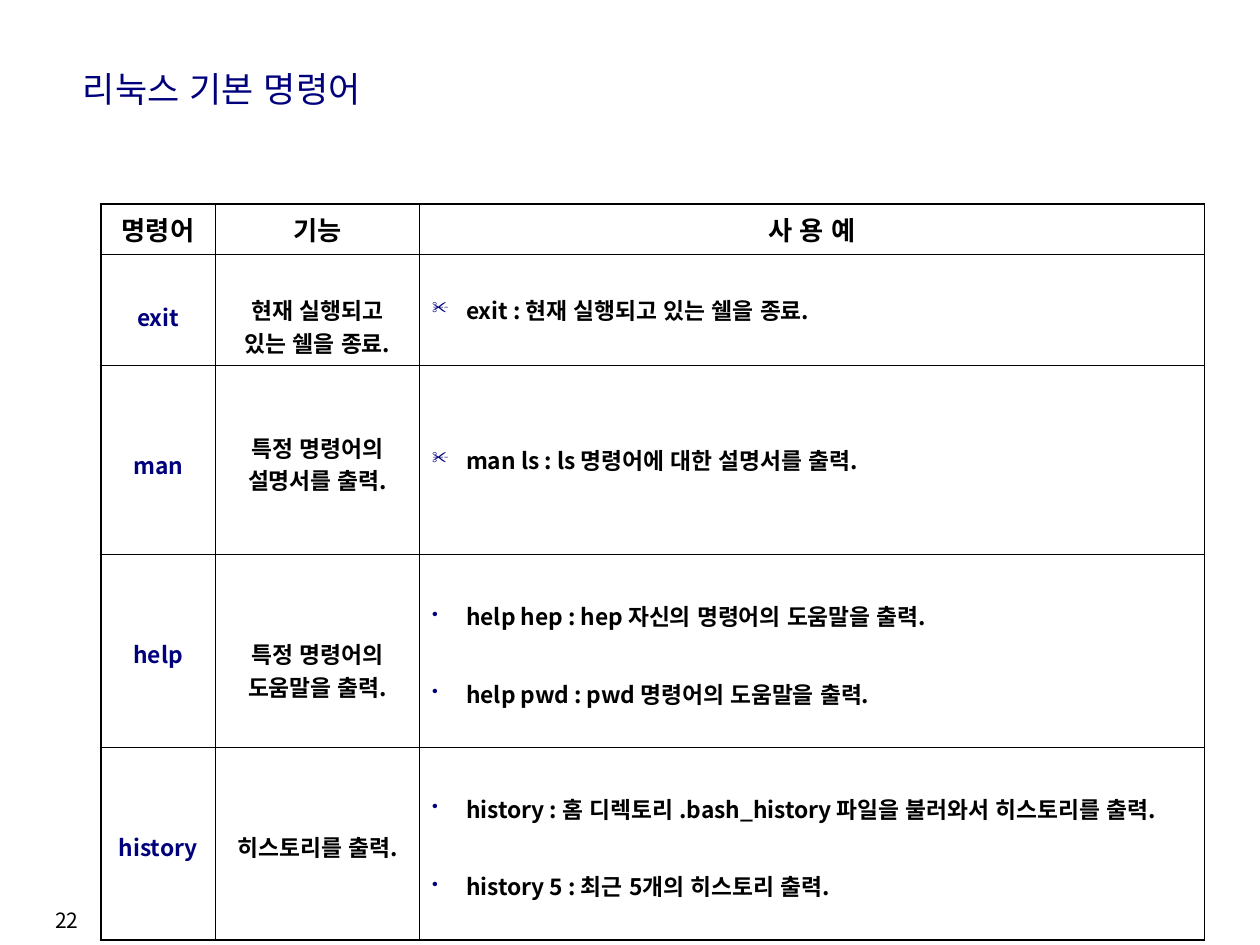
from lxml.etree import SubElement
from pptx import Presentation
from pptx.dml.color import RGBColor
from pptx.enum.lang import MSO_LANGUAGE_ID as Language
from pptx.enum.text import MSO_ANCHOR as Anchor, PP_ALIGN as Align
from pptx.oxml import parse_xml
from pptx.oxml.ns import nsdecls, qn
from pptx.util import Emu, Inches, Pt

# Content
TITLE = "리눅스 기본 명령어"
PAGE_NUMBER = "22"
HEADERS = ["명령어", "기능", "사 용 예"]
# Each cell: its lines and the space above them in inches
COMMANDS = [
    {"name": ("exit", 0.36), "purpose": ("현재 실행되고 있는 쉘을 종료.", 0.31), "bullet": "✂",
     "usage": (["exit : 현재 실행되고 있는 쉘을 종료."], 0.31)},
    {"name": ("man", 0.66), "purpose": ("특정 명령어의 설명서를 출력.", 0.52), "bullet": "✂",
     "usage": (["man ls : ls 명령어에 대한 설명서를 출력."], 0.62)},
    {"name": ("help", 0.66), "purpose": ("특정 명령어의 도움말을 출력.", 0.66), "bullet": "•",
     "usage": (["help hep : hep 자신의 명령어의 도움말을 출력.",
                "help pwd : pwd 명령어의 도움말을 출력."], 0.36)},
    {"name": ("history", 0.66), "purpose": ("히스토리를 출력.", 0.66), "bullet": "•",
     "usage": (["history : 홈 디렉토리 .bash_history 파일을 불러와서 히스토리를 출력.",
                "history 5 : 최근 5개의 히스토리 출력."], 0.36)},
]

# Style and grid
COLORS = {"navy": "00007D", "black": "000000"}
FONT = "Noto Sans CJK KR"
COLUMNS = [0.91, 1.62, 6.23]
ROWS = [0.4, 0.88, 1.5, 1.53, 1.53]
TABLE_LEFT, TABLE_TOP = 0.8, 1.62
THIN, THICK = 0.45, 1.08
BULLET_INDENT = Inches(0.27)
USAGE_GAP = Pt(25.4)


def style(paragraph, size, color="black", bold=False, align=Align.LEFT):
    paragraph.alignment = align
    font = paragraph.font
    font.size, font.bold, font.name = Pt(size), bold, FONT
    font.language_id = Language.KOREAN
    font.color.rgb = RGBColor.from_string(COLORS[color])
    properties = paragraph._p.get_or_add_pPr().find(qn("a:defRPr"))
    latin = properties.find(qn("a:latin"))
    latin.addnext(parse_xml(f'<a:ea {nsdecls("a")} typeface="{FONT}"/>'))


def add_bullet(paragraph, character):
    properties = paragraph._p.get_or_add_pPr()
    properties.set("marL", str(BULLET_INDENT))
    properties.set("indent", str(-BULLET_INDENT))
    color = SubElement(properties, qn("a:buClr"))
    SubElement(color, qn("a:srgbClr"), val=COLORS["navy"])
    SubElement(properties, qn("a:buSzPct"), val="75000")
    SubElement(properties, qn("a:buChar"), char=character)


def set_borders(cell, row, column):
    outer = {"L": column == 0, "R": column == len(COLUMNS) - 1,
             "T": row == 0, "B": row == len(ROWS) - 1}
    properties = cell._tc.get_or_add_tcPr()
    for position, (side, is_outer) in enumerate(outer.items()):
        width = Pt(THICK if is_outer else THIN)
        properties.insert(position, parse_xml(
            f'<a:ln{side} {nsdecls("a")} w="{width}"><a:solidFill>'
            f'<a:srgbClr val="{COLORS["black"]}"/></a:solidFill></a:ln{side}>'))


def fill_cell(cell, lines, top=0.05, size=13, color="black", align=Align.CENTER, bullet=None):
    cell.fill.background()
    cell.margin_left = cell.margin_right = Inches(0.1)
    cell.margin_top, cell.margin_bottom = Inches(top), Inches(0.04)
    frame = cell.text_frame
    for number, line in enumerate(lines):
        paragraph = frame.add_paragraph() if number else frame.paragraphs[0]
        paragraph.text = line
        if bullet:
            add_bullet(paragraph, bullet)
        if number:
            paragraph.space_before = USAGE_GAP
        style(paragraph, size, color, True, align)


def add_label(slide, text, box, size, color, align=Align.LEFT, anchor=Anchor.TOP, wrap=True):
    frame = slide.shapes.add_textbox(*map(Inches, box)).text_frame
    frame.word_wrap, frame.vertical_anchor = wrap, anchor
    frame.text = text
    style(frame.paragraphs[0], size, color, align=align)


def add_command_table(slide):
    table = slide.shapes.add_table(
        len(ROWS), len(COLUMNS), Inches(TABLE_LEFT), Inches(TABLE_TOP),
        Inches(sum(COLUMNS)), Inches(sum(ROWS))).table
    table.first_row = table.horz_banding = False
    for column, width in zip(table.columns, COLUMNS):
        column.width = Inches(width)
    for row, height in zip(table.rows, ROWS):
        row.height = Inches(height)

    for column, header in enumerate(HEADERS):
        fill_cell(table.cell(0, column), [header], size=15)
    for row, command in enumerate(COMMANDS, start=1):
        name, name_top = command["name"]
        purpose, purpose_top = command["purpose"]
        usage, usage_top = command["usage"]
        fill_cell(table.cell(row, 0), [name], name_top, color="navy")
        fill_cell(table.cell(row, 1), [purpose], purpose_top)
        fill_cell(table.cell(row, 2), usage, usage_top, align=Align.LEFT,
                  bullet=command["bullet"])
    for row in range(len(ROWS)):
        for column in range(len(COLUMNS)):
            set_borders(table.cell(row, column), row, column)


def main():
    presentation = Presentation()
    presentation.slide_width, presentation.slide_height = Inches(10), Inches(7.5)
    slide = presentation.slides.add_slide(presentation.slide_layouts[6])
    add_label(slide, PAGE_NUMBER, (0.2, 6.95, 0.52, 0.5), 12, "black",
              Align.RIGHT, Anchor.BOTTOM)
    add_command_table(slide)
    add_label(slide, TITLE, (0.56, 0.49, 2.52, 0.44), 20, "navy", wrap=False)
    presentation.save("out.pptx")


if __name__ == "__main__":
    main()
